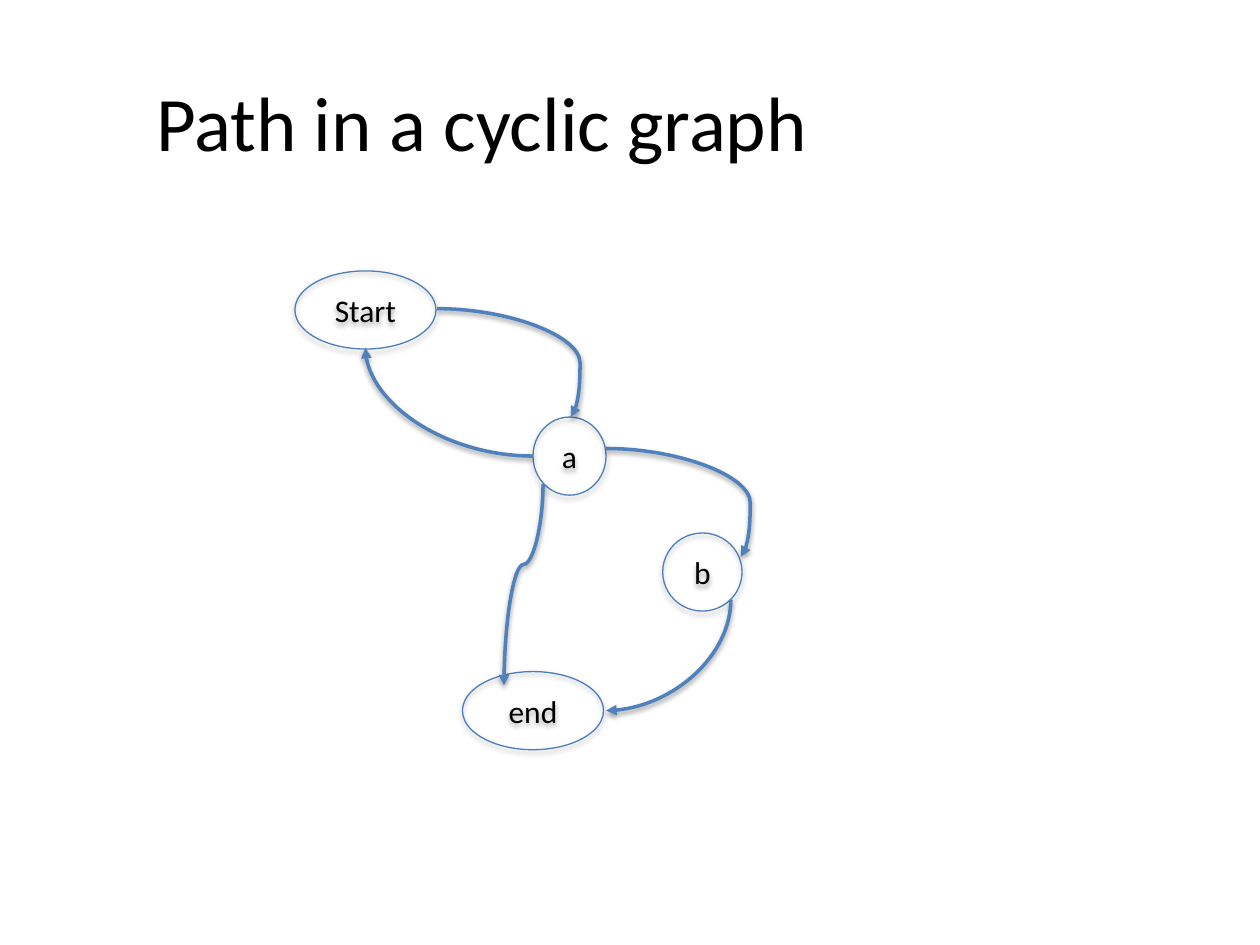
import pptx
import pptx.util
import pptx.dml.color
import pptx.enum.shapes
import pptx.enum.text
import pptx.oxml
import pptx.oxml.ns

# Slide grid: 100 columns by 75 rows of square cells
CELL = 0.1
COLUMNS, ROWS = 100, 75
FONT = "Calibri"
BLACK, NODE_BLUE, EDGE_BLUE = "000000", "4B7EBC", "4F81BD"
QN = pptx.oxml.ns.qn


def cells(count):
    return pptx.util.Inches(count * CELL)


def color(value):
    return pptx.dml.color.RGBColor.from_string(value)


def add_run(paragraph, text, size):
    run = paragraph.add_run()
    run.text = text
    run.font.name = FONT
    run.font.size = pptx.util.Pt(size)
    run.font.color.rgb = color(BLACK)


def style_line(shape, line_color, width):
    shape.line.color.rgb = color(line_color)
    shape.line.width = pptx.util.Pt(width)


def add_shadow(shape, distance, opacity):
    """Soft black shadow straight below the shape."""
    namespace = pptx.oxml.ns.nsdecls("a")
    shape._element.spPr.append(pptx.oxml.parse_xml(
        f'<a:effectLst {namespace}><a:outerShdw blurRad="{pptx.util.Pt(3.1)}" '
        f'dist="{pptx.util.Pt(distance)}" dir="5400000" rotWithShape="0">'
        f'<a:srgbClr val="{BLACK}"><a:alpha val="{opacity * 1000}"/></a:srgbClr>'
        '</a:outerShdw></a:effectLst>'))


def add_node(slide, label, left, top, width, height):
    node = slide.shapes.add_shape(
        pptx.enum.shapes.MSO_SHAPE.OVAL,
        cells(left), cells(top), cells(width), cells(height))
    node.fill.background()
    style_line(node, NODE_BLUE, 0.75)
    add_shadow(node, 1.8, 35)
    frame = node.text_frame
    frame.vertical_anchor = pptx.enum.text.MSO_ANCHOR.MIDDLE
    paragraph = frame.paragraphs[0]
    paragraph.alignment = pptx.enum.text.PP_ALIGN.CENTER
    add_run(paragraph, label, 18)


def add_edge(slide, start, end, preset, arrow_end, bend=None, turn=0, flip=None):
    """Curved arrow; a quarter turn swaps the width and height of its frame."""
    width, height = abs(end[0] - start[0]), abs(end[1] - start[1])
    middle_x, middle_y = (start[0] + end[0]) / 2, (start[1] + end[1]) / 2
    if turn in (90, 270):
        width, height = height, width
    left, top = middle_x - width / 2, middle_y - height / 2
    edge = slide.shapes.add_connector(
        pptx.enum.shapes.MSO_CONNECTOR.CURVE,
        cells(left), cells(top), cells(left + width), cells(top + height))
    style_line(edge, EDGE_BLUE, 2)
    add_shadow(edge, 1.6, 38)
    properties = edge._element.spPr
    frame = properties.find(QN("a:xfrm"))
    if turn:
        frame.set("rot", str(turn * 60000))
    if flip:
        frame.set(flip, "1")
    geometry = properties.find(QN("a:prstGeom"))
    geometry.set("prst", preset)
    if bend is not None:
        guide = geometry.find(QN("a:avLst")).makeelement(
            QN("a:gd"), {"name": "adj1", "fmla": f"val {round(bend * 100000)}"})
        geometry.find(QN("a:avLst")).append(guide)
    line = properties.find(QN("a:ln"))
    line.append(line.makeelement(QN(f"a:{arrow_end}"), {"type": "triangle"}))


def add_title(slide, left, top, width, height):
    box = slide.shapes.add_textbox(
        cells(left), cells(top), cells(width), cells(height))
    box.text_frame.word_wrap = False
    box.text_frame.auto_size = pptx.enum.text.MSO_AUTO_SIZE.SHAPE_TO_FIT_TEXT
    add_run(box.text_frame.paragraphs[0], "Path in a cyclic graph", 44)


def add_graph(slide, left, top):
    # Nodes: label, column, row, width
    node_height = 6.2
    for label, column, row, width in (
            ("Start", 0.4, 0.5, 11.2),
            ("end", 13.7, 32.3, 11.2),
            ("a", 19.3, 12.1, 5.8),
            ("b", 29.6, 21.3, 6.3)):
        add_node(slide, label, left + column, top + row, width, node_height)

    # Edges: start, end, preset, arrowhead side, bend, turn, flip
    arc, wave = "curvedConnector2", "curvedConnector3"
    for start, end, *style in (
            ((11.7, 3.5), (22.3, 12.1), wave, "tailEnd", 1.07),
            ((25.1, 14.6), (35.8, 23.2), wave, "tailEnd", 1.07),
            ((25.1, 35.4), (35, 26.6), arc, "headEnd", None, 0, "flipV"),
            ((20.1, 17.4), (17, 33.4), wave, "tailEnd", 0.4, 90),
            ((6, 6.6), (19.3, 15.2), arc, "headEnd", None, 270, "flipH")):
        add_edge(slide, (left + start[0], top + start[1]),
                 (left + end[0], top + end[1]), *style)


presentation = pptx.Presentation()
presentation.slide_width = cells(COLUMNS)
presentation.slide_height = cells(ROWS)
slide = presentation.slides.add_slide(presentation.slide_layouts[6])
add_graph(slide, 23, 21)
add_title(slide, 11.4, 5.4, 54.6, 8.4)
presentation.save("out.pptx")
